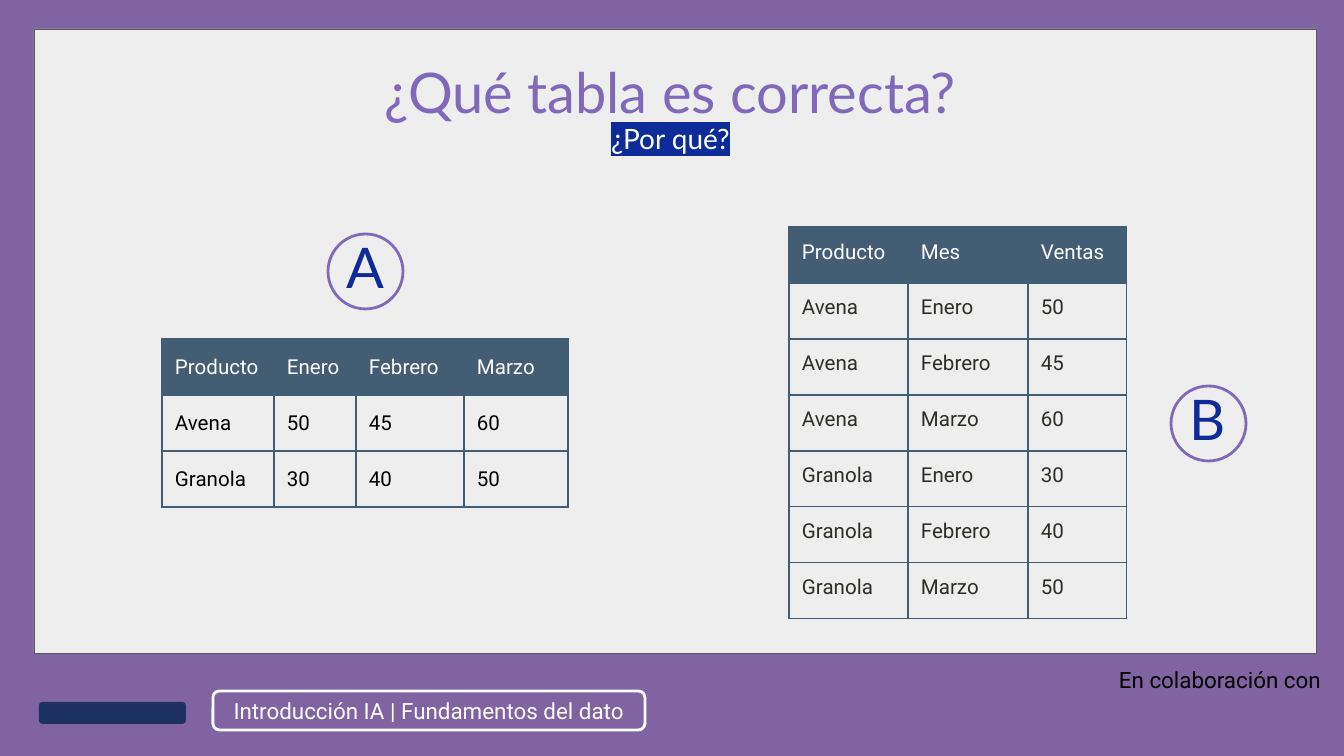
from lxml import etree
from pptx import Presentation
from pptx import util as u
from pptx.dml.color import RGBColor
from pptx.enum import shapes, text
from pptx.oxml.ns import qn

PX = u.Inches(10) / 1344
PAD = 13
PURPLE, VIOLET, NAVY = "8064A2", "8068BB", "0E2C99"
SLATE, WHITE, BLACK = "435D74", "FDFDFD", "000000"
KIND, ALIGN, ANCHOR = shapes.MSO_SHAPE, text.PP_ALIGN, text.MSO_ANCHOR


def px(n):
    return u.Emu(round(n * PX))


def rgb(code):
    return RGBColor.from_string(code)


def style(para, size, face, color, align=ALIGN.LEFT, space=None):
    para.alignment = align
    para.line_spacing = space
    font = para.font
    font.size, font.name, font.bold = u.Pt(size), face, False
    font.color.rgb = rgb(color)


def inset(item, pad):
    """Set equal margins on a text frame or table cell."""
    item.margin_left = item.margin_right = px(pad)
    item.margin_top = item.margin_bottom = px(pad)


def shape(slide, kind, box, fill=None, line=None, width=1.5):
    item = slide.shapes.add_shape(kind, *map(px, box))
    item.shadow.inherit = False
    if fill:
        item.fill.solid()
        item.fill.fore_color.rgb = rgb(fill)
    else:
        item.fill.background()
    if line:
        item.line.color.rgb = rgb(line)
        item.line.width = u.Pt(width)
    else:
        item.line.fill.background()
    return item


def label(slide, box, words, size, face, color, pad=PAD, space=None):
    frame = slide.shapes.add_textbox(*map(px, box)).text_frame
    frame.word_wrap = True
    inset(frame, pad)
    frame.text = words
    style(frame.paragraphs[0], size, face, color, ALIGN.CENTER, space)


def frame_page(slide):
    shape(slide, KIND.RECTANGLE, (0, 0, 1344, 756), PURPLE)
    shape(slide, KIND.RECTANGLE, (34, 29, 1282, 624), "EEEEEE", "595959", 0.38)


def heading(slide, box):
    title = slide.shapes.title
    slide.shapes._spTree.append(title._element)  # bring in front of the panel
    title.left, title.top, title.width, title.height = map(px, box)
    frame = title.text_frame
    frame.word_wrap, frame.auto_size = True, text.MSO_AUTO_SIZE.NONE
    frame.vertical_anchor = ANCHOR.TOP
    inset(frame, PAD)
    frame.text = "¿Qué tabla es correcta?\n¿Por qué?"
    for para, size, color in zip(frame.paragraphs, (30, 15), (VIOLET, WHITE)):
        style(para, size, "Lato", color, ALIGN.CENTER, 0.9)
        para.space_before = u.Pt(0)
    props = frame.paragraphs[1].runs[0].font._element
    mark = etree.SubElement(props, qn("a:highlight"))
    etree.SubElement(mark, qn("a:srgbClr"), val=NAVY)


def border(cell):
    props = cell._tc.get_or_add_tcPr()
    for spot, side in enumerate(("lnL", "lnR", "lnT", "lnB")):
        line = etree.Element(qn("a:" + side), w=str(u.Pt(0.75)))
        fill = etree.SubElement(line, qn("a:solidFill"))
        etree.SubElement(fill, qn("a:srgbClr"), val=SLATE)
        props.insert(spot, line)


def grid(slide, left, top, widths, rows, ink, anchor):
    high = 56
    table = slide.shapes.add_table(
        len(rows), len(widths), px(left), px(top),
        px(sum(widths)), px(high * len(rows))).table
    table.first_row = table.horz_banding = False
    for col, wide in zip(table.columns, widths):
        col.width = px(wide)
    for r, row in enumerate(rows):
        table.rows[r].height = px(high)
        for c, word in enumerate(row):
            cell = table.cell(r, c)
            cell.text = str(word)
            cell.vertical_anchor = anchor
            inset(cell, PAD)
            if r == 0:
                cell.fill.solid()
                cell.fill.fore_color.rgb = rgb(SLATE)
            else:
                cell.fill.background()
            border(cell)
            style(cell.text_frame.paragraphs[0], 11, "Roboto",
                  ink if r else WHITE)


def badge(slide, left, top, letter):
    """Draw a ringed letter."""
    shape(slide, KIND.OVAL, (left, top, 75, 75), line=VIOLET)
    label(slide, (left + 4, top - 7, 66, 89), letter, 30, "Lato", NAVY,
          space=0.9)


def footer(slide):
    shape(slide, KIND.ROUNDED_RECTANGLE, (39, 702, 147, 22), "1E3261")
    tag = shape(slide, KIND.ROUNDED_RECTANGLE, (213, 691, 432, 39), line=WHITE)
    frame = tag.text_frame
    inset(frame, PAD)
    frame.vertical_anchor = ANCHOR.MIDDLE
    frame.text = "Introducción IA | Fundamentos del dato"
    style(frame.paragraphs[0], 12, "Roboto", WHITE, ALIGN.CENTER)
    label(slide, (1106, 659, 228, 35), "En colaboración con", 12, "Roboto",
          BLACK, 7)


def main():
    deck = Presentation()
    deck.slide_width, deck.slide_height = px(1344), px(756)
    slide = deck.slides.add_slide(deck.slide_layouts[5])
    months = ("Enero", "Febrero", "Marzo")
    sales = {"Avena": (50, 45, 60), "Granola": (30, 40, 50)}
    wide = [("Producto", *months)]
    wide += [(name, *nums) for name, nums in sales.items()]
    long = [("Producto", "Mes", "Ventas")]
    long += [(name, month, num) for name, nums in sales.items()
             for month, num in zip(months, nums)]

    frame_page(slide)
    heading(slide, (161, 52, 1019, 118))
    grid(slide, 162, 339, (112, 82, 108, 104), wide, BLACK, ANCHOR.MIDDLE)
    grid(slide, 789, 227, (119, 120, 99), long, "2D2E27", ANCHOR.TOP)
    badge(slide, 328, 234, "A")
    badge(slide, 1171, 386, "B")
    footer(slide)
    deck.save("out.pptx")


if __name__ == "__main__":
    main()
